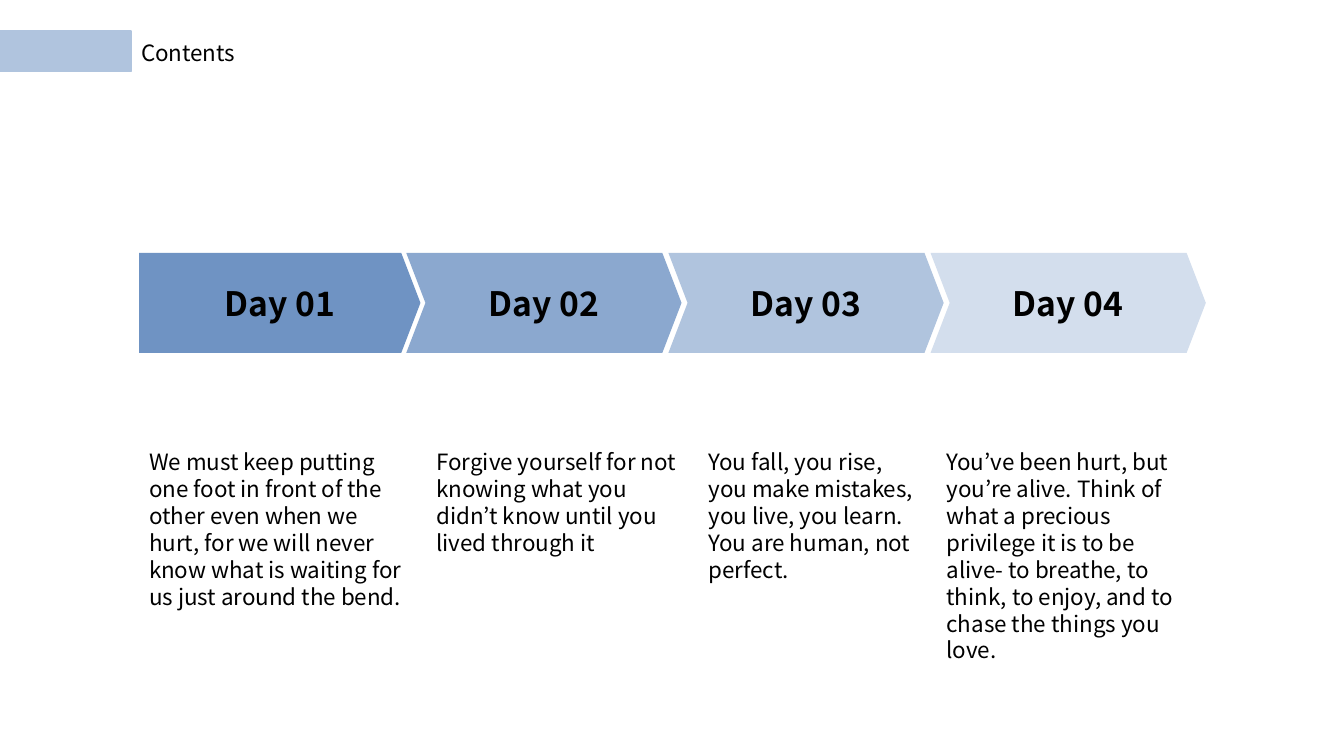
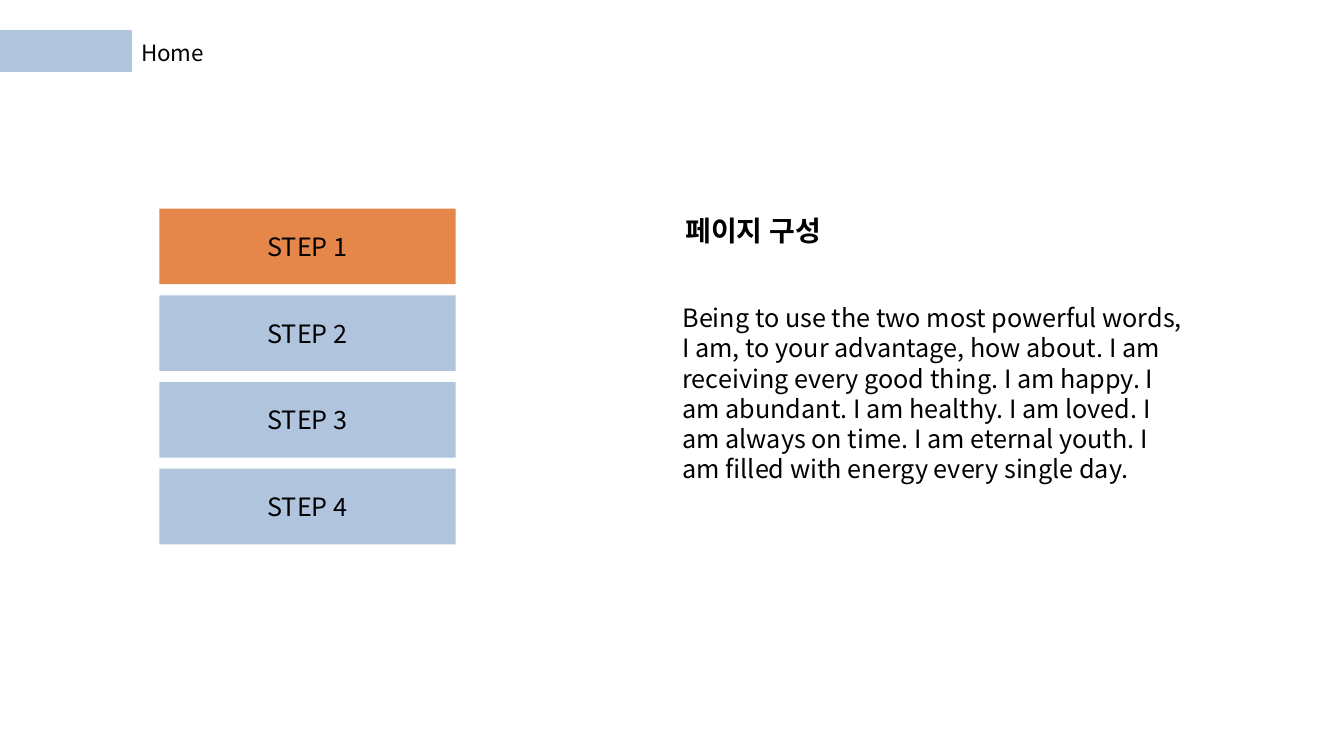
import dataclasses

import pptx
import pptx.dml.color
import pptx.enum.shapes
import pptx.enum.text
import pptx.oxml.ns
import pptx.util
from lxml import etree

Inches = pptx.util.Inches
ALIGN = pptx.enum.text.PP_ALIGN
ANCHOR = pptx.enum.text.MSO_ANCHOR
AUTO = pptx.enum.text.MSO_AUTO_SIZE


@dataclasses.dataclass(frozen=True)
class Theme:
    font: str = "Noto Sans CJK KR"
    text: str = "000000"
    blue: str = "B0C4DE"
    orange: str = "E5874A"
    blues: tuple = ("6F93C3", "8BA8CF", "B0C4DE", "D3DEED")
    small: int = 16
    medium: int = 18
    heading: int = 20
    large: int = 24


def rgb(value):
    return pptx.dml.color.RGBColor.from_string(value)


class Deck:
    def __init__(self, theme):
        self.theme = theme
        self.prs = pptx.Presentation()
        self.prs.slide_width = Inches(13.33)
        self.prs.slide_height = Inches(7.5)
        self.s = None

    def set_text(self, sp, text, size, bold=False, align=ALIGN.LEFT, anchor=ANCHOR.TOP):
        tf = sp.text_frame
        tf.word_wrap = True
        tf.vertical_anchor = anchor
        p = tf.paragraphs[0]
        p.text = text
        p.alignment = align
        p.font.size = pptx.util.Pt(size)
        p.font.bold = bold
        p.font.name = self.theme.font
        p.font.color.rgb = rgb(self.theme.text)
        # East Asian typeface for Korean text
        qn = pptx.oxml.ns.qn
        latin = p._p.find(".//" + qn("a:latin"))
        ea = etree.Element(qn("a:ea"), typeface=self.theme.font)
        latin.addnext(ea)
        return tf

    def paint(self, sp, fill, line=None):
        sp.shadow.inherit = False
        sp.fill.solid()
        sp.fill.fore_color.rgb = rgb(fill)
        if line:
            sp.line.color.rgb = rgb(line)
            sp.line.width = pptx.util.Pt(1)
        else:
            sp.line.fill.background()

    def rect(self, x, y, w, h, fill, line=None):
        sp = self.s.shapes.add_shape(
            pptx.enum.shapes.MSO_SHAPE.RECTANGLE,
            Inches(x), Inches(y), Inches(w), Inches(h))
        self.paint(sp, fill, line)
        return sp

    def slide(self, title):
        """Start a slide with its header tab and title."""
        self.s = self.prs.slides.add_slide(self.prs.slide_layouts.get_by_name("Title Only"))
        self.rect(0, 0.31, 1.3, 0.4, self.theme.blue, self.theme.blue)
        sp = self.s.shapes.title
        sp.left, sp.top = Inches(1.3), Inches(0.34)
        sp.width, sp.height = Inches(4.18), Inches(0.37)
        self.set_text(sp, title, self.theme.small).auto_size = AUTO.SHAPE_TO_FIT_TEXT

    def textbox(self, x, y, w, h, text, size, bold=False, wrap=True):
        sp = self.s.shapes.add_textbox(Inches(x), Inches(y), Inches(w), Inches(h))
        tf = self.set_text(sp, text, size, bold)
        tf.word_wrap = wrap
        tf.auto_size = AUTO.SHAPE_TO_FIT_TEXT

    def arrow(self, x, y, w, h, fill, text, point=0.19, notch=True):
        """Draw an arrow band, with a notched or a straight left end."""
        mid, shoulder = y + h / 2, x + w - point
        points = [(x, y + h), (shoulder, y + h), (x + w, mid), (shoulder, y)]
        if notch:
            points.insert(0, (x + point, mid))
        fb = self.s.shapes.build_freeform(Inches(x), Inches(y))
        fb.add_line_segments([(Inches(px), Inches(py)) for px, py in points])
        sp = fb.convert_to_shape()
        self.paint(sp, fill)
        tf = self.set_text(sp, text, self.theme.large, True, ALIGN.CENTER, ANCHOR.MIDDLE)
        tf.margin_left = tf.margin_right = Inches(0.1)
        tf.margin_top = tf.margin_bottom = Inches(0.1)

    def step(self, x, y, w, h, fill, text):
        sp = self.rect(x, y, w, h, fill)
        self.set_text(sp, text, self.theme.medium, False, ALIGN.CENTER, ANCHOR.MIDDLE)


# Left, width, height and text of each day's column
DAYS = [
    (1.38, 2.79, 1.99, "We must keep putting one foot in front of the other even when we "
     "hurt, for we will never know what is waiting for us just around the bend."),
    (4.23, 2.63, 1.18, "Forgive yourself for not knowing what you didn’t know until you "
     "lived through it"),
    (6.93, 2.29, 1.45, "You fall, you rise, you make mistakes, you live, you learn. "
     "You are human, not perfect."),
    (9.29, 2.63, 2.26, "You’ve been hurt, but you’re alive. Think of what a precious "
     "privilege it is to be alive- to breathe, to think, to enjoy, and to chase the "
     "things you love."),
]


def contents_slide(deck):
    deck.slide("Contents")
    for i, (x, w, h, text) in enumerate(DAYS):
        # Day band: the first arrow starts flush with its column
        band_x, band_w = (1.43 + 2.6 * i, 2.73) if i else (1.38, 2.79)
        deck.arrow(band_x, 2.51, band_w, 0.99, deck.theme.blues[i],
                   f"Day {i + 1:02}", notch=i > 0)
        deck.textbox(x, 4.4, w, h, text, deck.theme.small)


def home_slide(deck):
    theme = deck.theme
    deck.slide("Home")
    # Steps, the first one highlighted
    for i in range(4):
        fill = theme.blue if i else theme.orange
        deck.step(1.58, 2.07 + 0.86 * i, 2.94, 0.75, fill, f"STEP {i + 1}")
    # Heading and text
    deck.textbox(6.7, 2.07, 1.74, 0.44, "페이지 구성", theme.heading, bold=True, wrap=False)
    deck.textbox(
        6.67, 2.95, 5.18, 2.22,
        "Being to use the two most powerful words, I am, to your advantage, how about. "
        "I am receiving every good thing. I am happy. I am abundant. I am healthy. "
        "I am loved. I am always on time. I am eternal youth. I am filled with energy "
        "every single day.", theme.medium)


def main():
    deck = Deck(Theme())
    contents_slide(deck)
    home_slide(deck)
    deck.prs.save("out.pptx")


if __name__ == "__main__":
    main()
